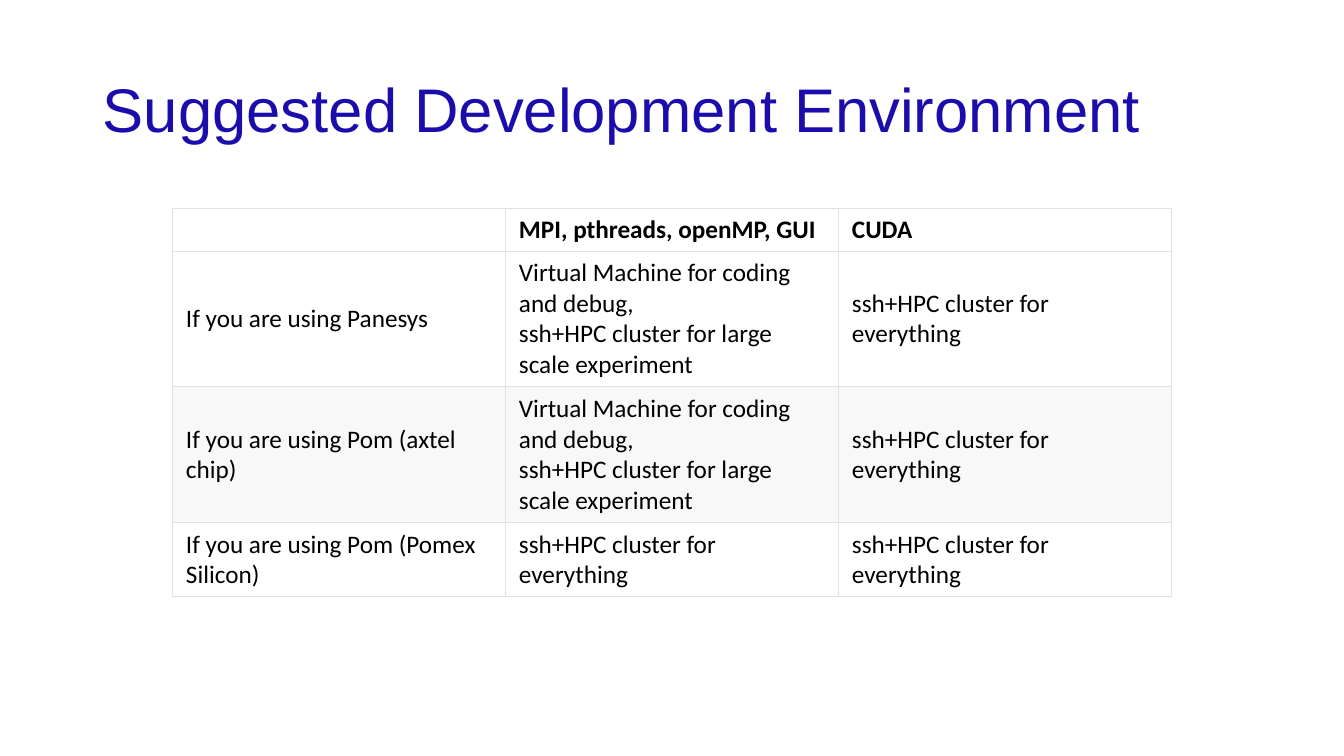
"""Build the slide that suggests a development environment per computer type."""
import pptx
import pptx.dml.color
import pptx.enum.text
import pptx.oxml
import pptx.oxml.ns
import pptx.util

TITLE = "Suggested Development Environment"
CLUSTER = "ssh+HPC cluster for everything"
MACHINE = "Virtual Machine for coding and debug,\nssh+HPC cluster for large scale experiment"
ROWS = [
    ("", "MPI, pthreads, openMP, GUI", "CUDA"),
    ("If you are using Panesys", MACHINE, CLUSTER),
    ("If you are using Pom (axtel chip)", MACHINE, CLUSTER),
    ("If you are using Pom (Pomex Silicon)", CLUSTER, CLUSTER),
]
ROW_HEIGHTS = [43, 136, 136, 74]
ROW_FILLS = ["white", "white", "band", "white"]
COLUMN_WIDTH = 333
TABLE_LEFT, TABLE_TOP = 172, 208
TITLE_BOX = (93, 40, 1159, 146)
COLORS = {"title": "1A0DAB", "text": "000000", "border": "DFE2E5",
          "white": "FFFFFF", "band": "F8F8F8"}


def px(length):
    """Turn pixels into EMU."""
    return pptx.util.Emu(round(length * 914400 / 100.8))


def color(name):
    """Look up a colour by name."""
    return pptx.dml.color.RGBColor.from_string(COLORS[name])


def style(para, face, size, name, bold=False):
    """Set the font of a paragraph."""
    para.font.name = face
    para.font.size = pptx.util.Pt(size)
    para.font.bold = bold
    para.font.color.rgb = color(name)


def add_borders(cell):
    """Draw a thin line on every side of a cell."""
    properties = cell._tc.get_or_add_tcPr()
    for side in ("lnL", "lnR", "lnT", "lnB"):
        properties.append(pptx.oxml.parse_xml(
            f'<a:{side} {pptx.oxml.ns.nsdecls("a")} w="9525"><a:solidFill>'
            f'<a:srgbClr val="{COLORS["border"]}"/></a:solidFill></a:{side}>'))


def add_title(page):
    """Place the heading."""
    frame = page.shapes.add_textbox(*map(px, TITLE_BOX)).text_frame
    frame.word_wrap = True
    frame.vertical_anchor = pptx.enum.text.MSO_ANCHOR.MIDDLE
    frame.text = TITLE
    frame.paragraphs[0].line_spacing = 0.9
    style(frame.paragraphs[0], "Arial", 44, "title")


def fill_cell(cell, text, fill, bold):
    """Write and format one table cell."""
    add_borders(cell)
    cell.fill.solid()
    cell.fill.fore_color.rgb = color(fill)
    cell.vertical_anchor = pptx.enum.text.MSO_ANCHOR.MIDDLE
    cell.margin_left = cell.margin_right = px(14)
    cell.margin_top = cell.margin_bottom = px(6)
    cell.text = text
    for para in cell.text_frame.paragraphs:
        style(para, "Calibri", 18, "text", bold)


def add_environments(page):
    """Place the table of environments."""
    count = len(ROWS[0])
    table = page.shapes.add_table(
        len(ROWS), count, px(TABLE_LEFT), px(TABLE_TOP),
        px(COLUMN_WIDTH * count), px(sum(ROW_HEIGHTS))).table
    table.horz_banding = False
    for column in table.columns:
        column.width = px(COLUMN_WIDTH)
    for index, (texts, height, fill) in enumerate(zip(ROWS, ROW_HEIGHTS, ROW_FILLS)):
        table.rows[index].height = px(height)
        for cell, text in zip(table.rows[index].cells, texts):
            fill_cell(cell, text, fill, bold=index == 0)


def main():
    """Build and save the deck."""
    deck = pptx.Presentation()
    deck.slide_width, deck.slide_height = px(1344), px(756)
    page = deck.slides.add_slide(deck.slide_layouts[6])
    add_title(page)
    add_environments(page)
    deck.save("out.pptx")


if __name__ == "__main__":
    main()
